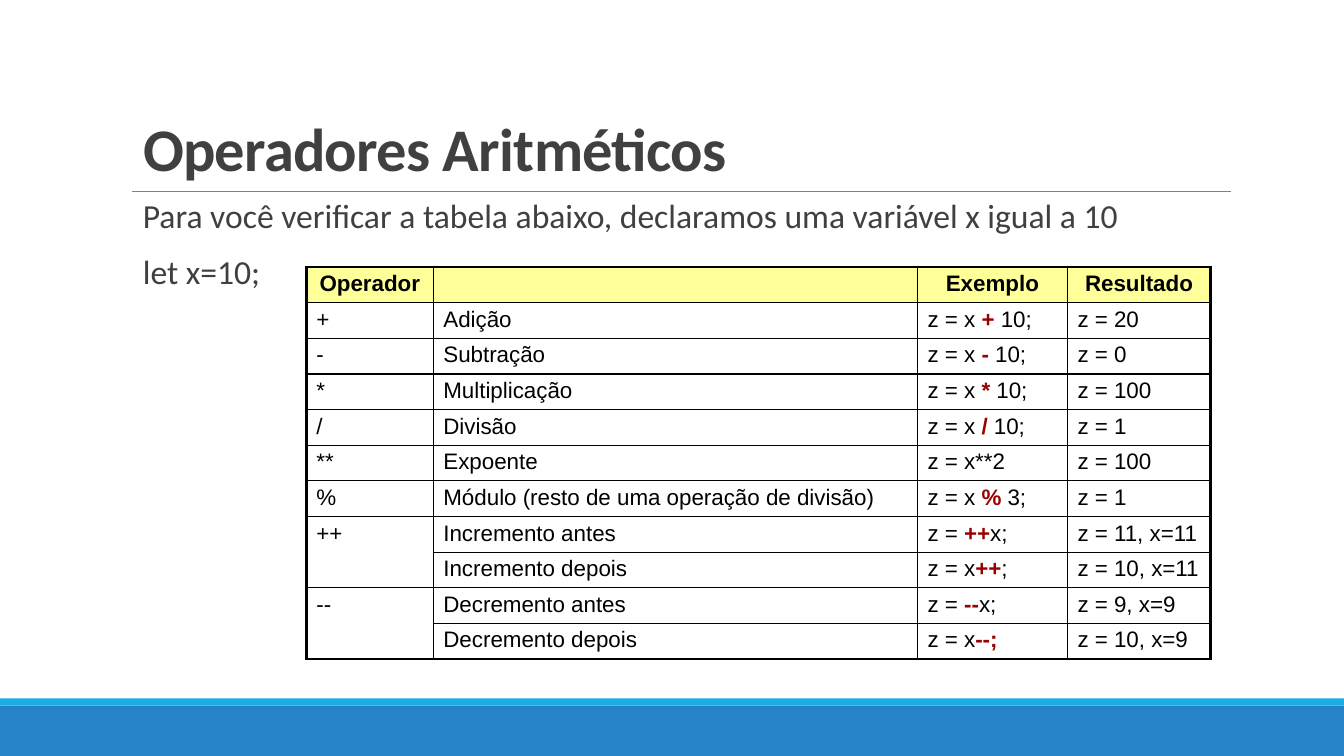
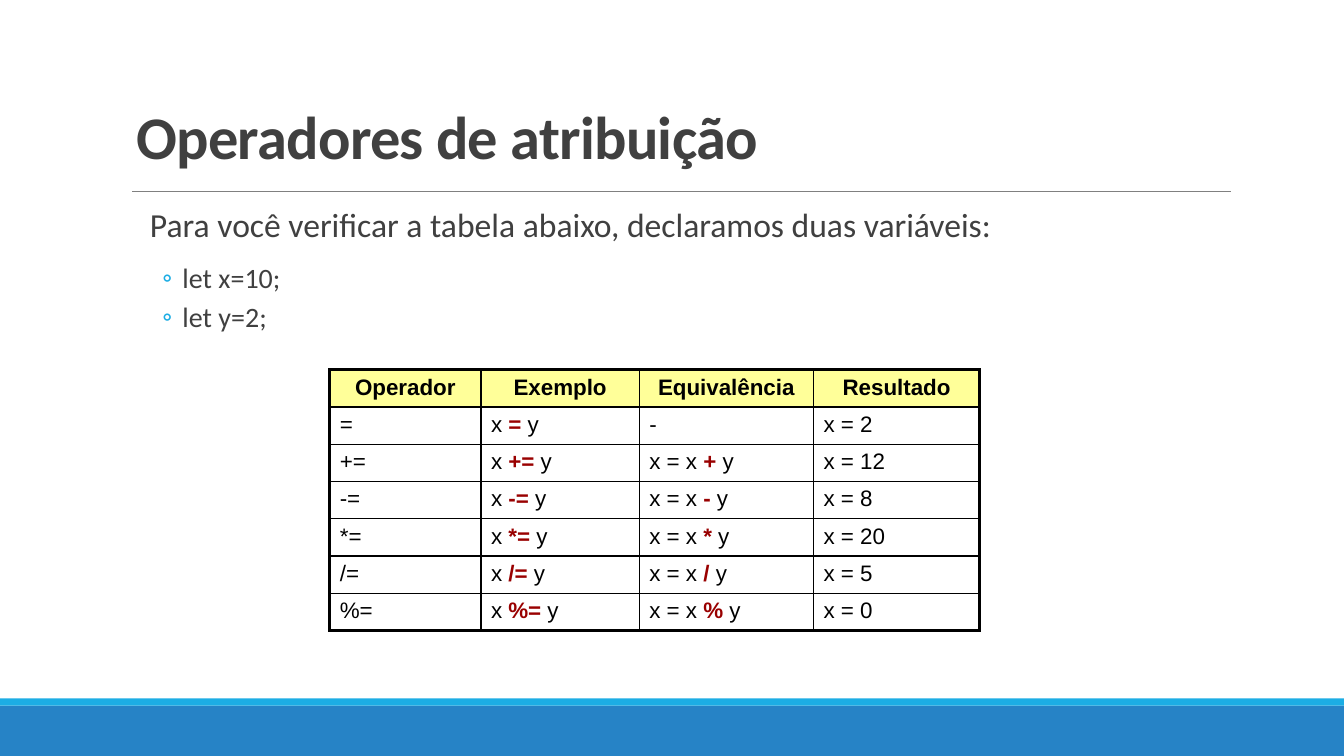
import lxml.etree
import pptx
import pptx.dml.color
import pptx.enum.shapes
import pptx.enum.text
import pptx.oxml.ns
import pptx.util

Cm = pptx.util.Cm
Pt = pptx.util.Pt
RGB = pptx.dml.color.RGBColor
qn = pptx.oxml.ns.qn

BLUE = RGB(0x26, 0x83, 0xC6)
CYAN = RGB(0x1C, 0xAD, 0xE4)
GREY = RGB(0x80, 0x80, 0x80)
DARK = RGB(0x40, 0x40, 0x40)
BLACK = RGB(0, 0, 0)
RED = RGB(0x99, 0, 0)
YELLOW = RGB(0xFF, 0xFF, 0x99)

WIDE, HIGH = 33.87, 19.05
BANDS = [(17.78, 1.27, BLUE), (17.6, 0.18, CYAN)]
RULE = (3.33, 31.01, 4.83)
THICK, THIN = 2.25, 1

LEVELS = [
    {"size": 24, "left": 0.25, "hang": 0, "after": 2},
    {"size": 20, "left": 1.07, "hang": 0.51, "after": 4},
]

PAGES = [
    {
        "title": "Operadores Aritméticos",
        "head": (3.35, 3.12, 24.41, 1.63),
        "body": (3.35, 4.9, 27.86, 13.23),
        "lines": [
            (0, 12, "Para você verificar a tabela abaixo, declaramos uma variável x igual a 10"),
            (0, 12, "let x=10;"),
        ],
        "spot": (7.72, 6.73),
        "cols": [3.2, 12.2, 3.78, 3.61],
        "row": 0.88,
        "pad": 0.11,
        "cells": [
            ("Operador", "", "Exemplo", "Resultado"),
            ("+", "Adição", "z = x |+ |10;", "z = 20"),
            ("-", "Subtração", "z = x |-| 10;", "z = 0"),
            ("*", "Multiplicação", "z = x |*| 10;", "z = 100"),
            ("/", "Divisão", "z = x |/| 10;", "z = 1"),
            ("**", "Expoente", "z = x**2", "z = 100"),
            ("%", "Módulo (resto de uma operação de divisão)", "z = x |%| 3;", "z = 1"),
            ("++", "Incremento antes", "z = |++|x;", "z = 11, x=11"),
            (None, "Incremento depois", "z = x|++|;", "z = 10, x=11"),
            ("--", "Decremento antes", "z =| --|x;", "z = 9, x=9"),
            (None, "Decremento depois", "z = x|--;", "z = 10, x=9"),
        ],
    },
    {
        "title": "Operadores de atribuição",
        "head": (3.18, 2.82, 30.68, 1.63),
        "body": (3.53, 5.13, 24.21, 12.37),
        "lines": [
            (0, 12, "Para você verificar a tabela abaixo, declaramos duas variáveis:"),
            (1, 12, "let x=10;"),
            (1, 2, "let y=2;"),
        ],
        "spot": (8.31, 9.32),
        "cols": [3.81, 3.99, 4.39, 4.19],
        "row": 0.93,
        "pad": 0.13,
        "cells": [
            ("Operador", "Exemplo", "Equivalência", "Resultado"),
            ("=", "x |=| y", "-", "x = 2"),
            ("+=", "x |+=| y", "x = x |+| y", "x = 12"),
            ("-=", "x |-=| y", "x = x |-| y", "x = 8"),
            ("*=", "x |*=| y", "x = x |*| y", "x = 20"),
            ("/=", "x |/=| y", "x = x| /| y", "x = 5"),
            ("%=", "x |%=| y", "x = x |%| y", "x = 0"),
        ],
    },
]


def add_node(root, tag, **attrs):
    return lxml.etree.SubElement(root, qn(tag), attrs)


def style(run, face, size, tint, bold=False):
    run.font.name = face
    run.font.size = Pt(size)
    run.font.color.rgb = tint
    run.font.bold = bold


def share_bands(slide, layout):
    parts = []
    for top, tall, tint in BANDS:
        band = slide.shapes.add_shape(
            pptx.enum.shapes.MSO_SHAPE.RECTANGLE, 0, Cm(top), Cm(WIDE), Cm(tall))
        band.shadow.inherit = False
        band.fill.solid()
        band.fill.fore_color.rgb = tint
        band.line.fill.background()
        parts.append(band)
    left, right, y = RULE
    rule = slide.shapes.add_connector(
        pptx.enum.shapes.MSO_CONNECTOR.STRAIGHT, Cm(left), Cm(y), Cm(right), Cm(y))
    rule.line.color.rgb = GREY
    rule.line.width = Pt(0.5)
    add_node(rule.element.spPr, "a:effectLst")
    parts.append(rule)
    for part in parts:
        layout.shapes.element.append(part.element)


def set_title(slide, page):
    title = slide.shapes.title
    title.left, title.top, title.width, title.height = map(Cm, page["head"])
    frame = title.text_frame
    frame.text = page["title"]
    frame.auto_size = pptx.enum.text.MSO_AUTO_SIZE.NONE
    frame.vertical_anchor = pptx.enum.text.MSO_ANCHOR.BOTTOM
    para = frame.paragraphs[0]
    para.alignment = pptx.enum.text.PP_ALIGN.LEFT
    para.line_spacing = 0.85
    run = para.runs[0]
    style(run, "Calibri", 43.2, DARK, True)
    run._r.get_or_add_rPr().set("spc", "-50")


def add_body(slide, page):
    frame = slide.shapes.add_textbox(*map(Cm, page["body"])).text_frame
    frame.word_wrap = True
    frame.margin_left = frame.margin_right = 0
    frame.text = "\n".join(text for _, _, text in page["lines"])
    for para, (depth, gap, _) in zip(frame.paragraphs, page["lines"]):
        level = LEVELS[depth]
        style(para.runs[0], "Calibri", level["size"], DARK)
        para.level = depth
        para.line_spacing = 0.9
        para.space_before = Pt(gap)
        para.space_after = Pt(level["after"])
        props = para._p.get_or_add_pPr()
        props.set("marL", str(Cm(level["left"])))
        props.set("indent", str(-Cm(level["hang"])))
        if level["hang"]:
            add_node(add_node(props, "a:buClr"), "a:srgbClr", val=str(CYAN))
            add_node(props, "a:buFont", typeface="Calibri")
            add_node(props, "a:buChar", char="◦")


def set_edges(cell, edges):
    props = cell._tc.get_or_add_tcPr()
    for side, outer in edges:
        line = add_node(props, "a:ln" + side, w=str(Pt(THICK if outer else THIN)))
        add_node(add_node(line, "a:solidFill"), "a:srgbClr", val=str(BLACK))


def fill_cell(cell, text, header):
    para = cell.text_frame.paragraphs[0]
    if not text:
        add_node(para._p, "a:endParaRPr", sz="1600")
        return
    for k, piece in enumerate(text.split("|")):
        if piece:
            run = para.add_run()
            run.text = piece
            key = k % 2 == 1
            style(run, "Arial", 16, RED if key else BLACK, header or key)
    if header:
        para.alignment = pptx.enum.text.PP_ALIGN.CENTER


def add_grid(slide, page):
    cells, cols = page["cells"], page["cols"]
    rows = len(cells)
    left, top = page["spot"]
    grid = slide.shapes.add_table(
        rows, len(cols), Cm(left), Cm(top), Cm(sum(cols)), Cm(page["row"] * rows)).table
    grid.first_row = grid.horz_banding = False
    for col, wide in zip(grid.columns, cols):
        col.width = Cm(wide)
    for r, texts in enumerate(cells):
        grid.rows[r].height = Cm(page["row"])
        for c, text in enumerate(texts):
            if text is None:
                grid.cell(r - 1, c).merge(grid.cell(r, c))
    for r, texts in enumerate(cells):
        for c, text in enumerate(texts):
            cell = grid.cell(r, c)
            cell.margin_top = cell.margin_bottom = Cm(page["pad"])
            set_edges(cell, [
                ("L", c == 0),
                ("R", c == len(cols) - 1),
                ("T", r == 0),
                ("B", r + cell.span_height == rows),
            ])
            if r == 0:
                cell.fill.solid()
                cell.fill.fore_color.rgb = YELLOW
            else:
                cell.fill.background()
            fill_cell(cell, text, r == 0)


def main():
    deck = pptx.Presentation()
    deck.slide_width, deck.slide_height = Cm(WIDE), Cm(HIGH)
    layout = deck.slide_layouts[5]
    for k, page in enumerate(PAGES):
        slide = deck.slides.add_slide(layout)
        if k == 0:
            share_bands(slide, layout)
        set_title(slide, page)
        add_body(slide, page)
        add_grid(slide, page)
    deck.save("out.pptx")


if __name__ == "__main__":
    main()
